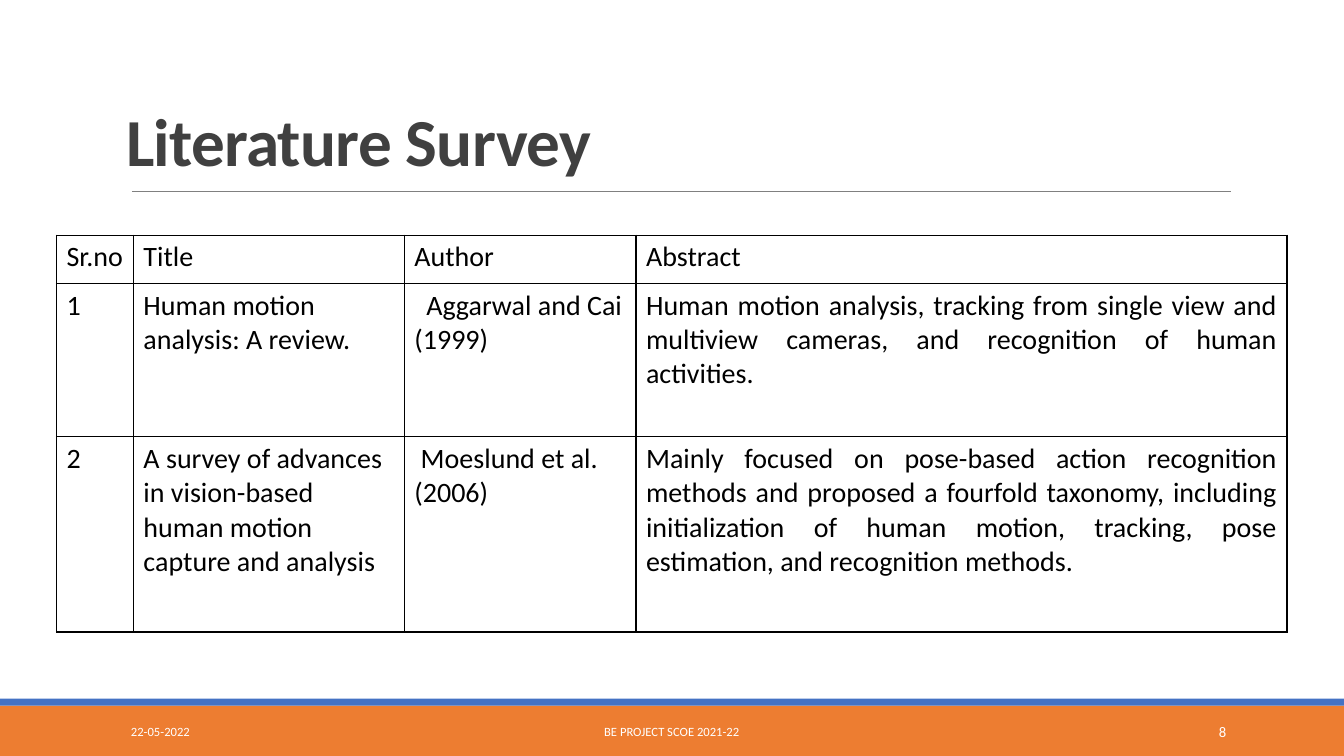
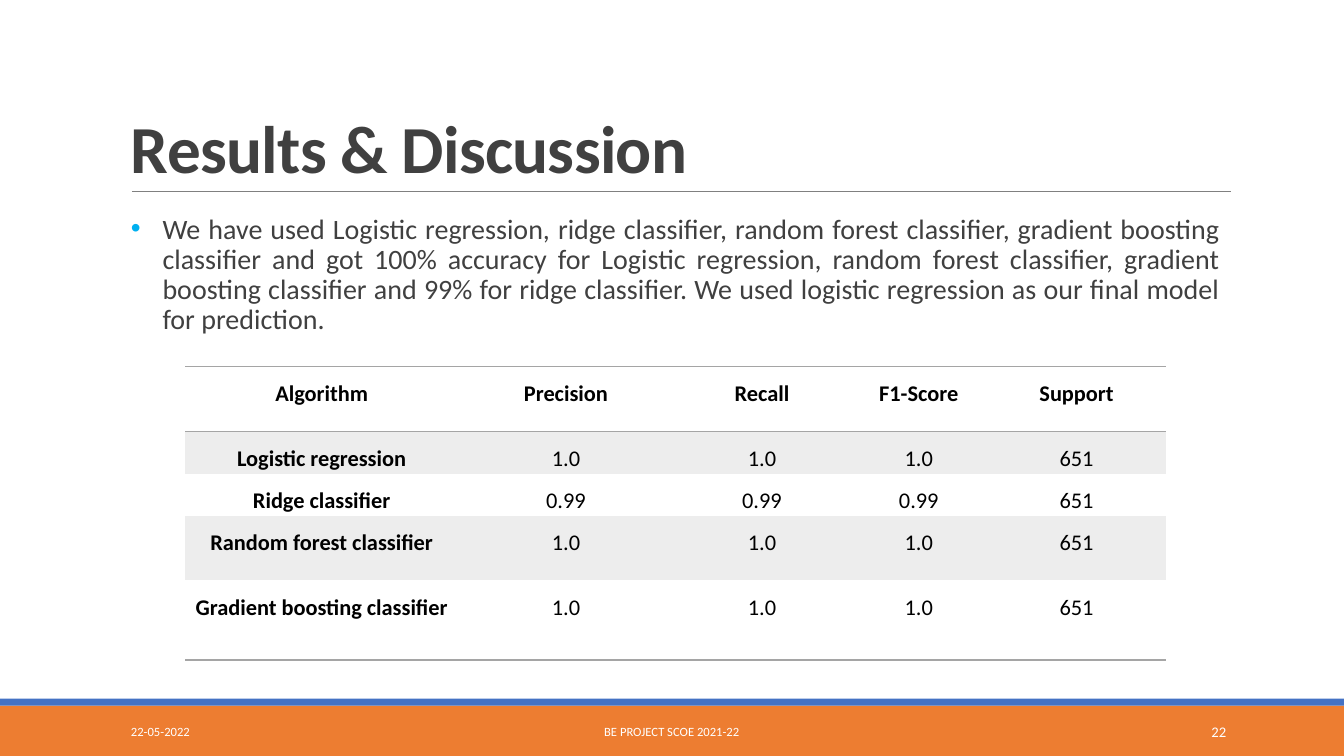
from lxml.etree import SubElement
from pptx import Presentation
from pptx.dml.color import RGBColor
from pptx.enum.shapes import MSO_CONNECTOR, MSO_SHAPE
from pptx.enum.text import MSO_ANCHOR as Anchor, PP_ALIGN as Align
from pptx.oxml import parse_xml
from pptx.oxml.ns import nsdecls, qn
from pptx.util import Pt

FONT = "Calibri"
WHITE = RGBColor(0xFF, 0xFF, 0xFF)
BLACK = RGBColor(0x00, 0x00, 0x00)
INK = RGBColor(0x40, 0x40, 0x40)
ORANGE = RGBColor(0xED, 0x7D, 0x31)
BLUE = RGBColor(0x44, 0x72, 0xC4)
RULE_GREY = RGBColor(0x80, 0x80, 0x80)
BORDER_GREY = RGBColor(0xA5, 0xA5, 0xA5)
BAND_GREY = RGBColor(0xED, 0xED, 0xED)
BULLET_BLUE = RGBColor(0x00, 0xB0, 0xF0)

SLIDE_WIDTH, SLIDE_HEIGHT = 960, 540
BANDS = [(504, 36, ORANGE), (499, 5, BLUE)]
NO_STYLE = "{2D5ABB26-0587-4C30-8999-92F81FD0307C}"

SURVEY_HEADER = ("Sr.no", "Title", "Author", "Abstract")
SURVEY = [
    ("1", "Human motion analysis: A review.", "Aggarwal and Cai (1999)",
     "Human motion analysis, tracking from single view and multiview cameras, "
     "and recognition of human activities."),
    ("2", "A survey of advances in vision-based human motion capture and analysis",
     "Moeslund et al. (2006)",
     "Mainly focused on pose-based action recognition methods and proposed a "
     "fourfold taxonomy, including initialization of human motion, tracking, "
     "pose estimation, and recognition methods."),
]
AUTHOR_INDENTS = {1: 8.5, 2: 4.5}

FINDING = (
    "We have used Logistic regression, ridge classifier, random forest classifier, "
    "gradient boosting classifier and got 100% accuracy for Logistic regression, "
    "random forest classifier, gradient boosting classifier and 99% for ridge "
    "classifier. We used logistic regression as our final model for prediction."
)
SCORES = [
    ("Algorithm", "Precision", "Recall", "F1-Score", "Support"),
    ("Logistic regression", "1.0", "1.0", "1.0", "651"),
    ("Ridge classifier", "0.99", "0.99", "0.99", "651"),
    ("Random forest classifier", "1.0", "1.0", "1.0", "651"),
    ("Gradient boosting classifier", "1.0", "1.0", "1.0", "651"),
]


def points(*values):
    return [Pt(value) for value in values]


def style(para, size, color, bold=False, align=Align.LEFT):
    para.alignment = align
    for span in para.runs:
        font = span.font
        font.name, font.size, font.bold = FONT, Pt(size), bold
        font.color.rgb = color


def add_text(slide, frame, text, size, color, anchor=Anchor.TOP, **look):
    """Add a wrapped text box and return its paragraph."""
    box = slide.shapes.add_textbox(*points(*frame))
    box.text_frame.word_wrap = True
    box.text_frame.vertical_anchor = anchor
    para = box.text_frame.paragraphs[0]
    para.text = text
    style(para, size, color, **look)
    return para


def add_page(deck, title, title_left, title_top, number):
    """Add a slide with the shared bands, rule, title and footer."""
    slide = deck.slides.add_slide(deck.slide_layouts[6])
    for top, height, color in BANDS:
        band = slide.shapes.add_shape(
            MSO_SHAPE.RECTANGLE, *points(0, top, SLIDE_WIDTH, height))
        band.shadow.inherit = False
        band.fill.solid()
        band.fill.fore_color.rgb = color
        band.line.fill.background()

    rule = slide.shapes.add_connector(
        MSO_CONNECTOR.STRAIGHT, *points(94.3, 136.8, 879.1, 136.8))
    rule.line.color.rgb = RULE_GREY
    rule.line.width = Pt(0.5)
    SubElement(rule._element.spPr, qn("a:effectLst"))

    heading = add_text(slide, (title_left, title_top, 792, 114.5), title,
                       48, INK, Anchor.BOTTOM, bold=True)
    heading.line_spacing = 0.85
    heading.runs[0]._r.get_or_add_rPr().set("spc", "-50")

    footers = [
        ("22-05-2022", 86.5, 194.5, 9, Align.LEFT),
        ("BE PROJECT SCOE 2021-22", 290, 379.5, 9, Align.CENTER),
        (str(number), 780, 103, 10.5, Align.RIGHT),
    ]
    for text, left, width, size, align in footers:
        add_text(slide, (left, 508.5, width, 28.5), text, size, WHITE,
                 Anchor.MIDDLE, align=align)
    return slide


def add_grid(slide, left, top, widths, heights, rows):
    """Add an unstyled, unfilled table holding the given rows of text."""
    frame = slide.shapes.add_table(
        len(rows), len(widths), *points(left, top, sum(widths), sum(heights)))
    table = frame.table
    table.first_row = table.horz_banding = False
    table._tbl.tblPr.find(qn("a:tableStyleId")).text = NO_STYLE
    for column, width in zip(table.columns, widths):
        column.width = Pt(width)
    for row, height, texts in zip(table.rows, heights, rows):
        row.height = Pt(height)
        for cell, text in zip(row.cells, texts):
            cell.text_frame.text = text
            cell.fill.background()
    return table


def set_borders(cell, sides, color):
    """Draw 1 pt lines on the sides, given in the order L, R, T, B."""
    properties = cell._tc.get_or_add_tcPr()
    for position, side in enumerate(sides):
        properties.insert(position, parse_xml(
            f'<a:ln{side} {nsdecls("a")} w="{Pt(1)}"><a:solidFill>'
            f'<a:srgbClr val="{color}"/></a:solidFill></a:ln{side}>'))


def build_survey(deck):
    slide = add_page(deck, "Literature Survey", 83, 18, 8)
    table = add_grid(slide, 40.3, 168, (55, 193.5, 165.5, 465),
                     (34.5, 109.5, 139.5), [SURVEY_HEADER, *SURVEY])
    for row_index, row in enumerate(table.rows):
        for column_index, cell in enumerate(row.cells):
            is_abstract = row_index > 0 and column_index == 3
            style(cell.text_frame.paragraphs[0], 20, BLACK,
                  align=Align.JUSTIFY if is_abstract else Align.LEFT)
            set_borders(cell, "LRTB", BLACK)
    for row_index, indent in AUTHOR_INDENTS.items():
        para = table.cell(row_index, 2).text_frame.paragraphs[0]
        para._p.get_or_add_pPr().set("indent", str(Pt(indent)))


def add_bullet(para, indent):
    properties = para._p.get_or_add_pPr()
    properties.set("marL", str(Pt(indent)))
    properties.set("indent", str(-Pt(indent)))
    color = SubElement(properties, qn("a:buClr"))
    SubElement(color, qn("a:srgbClr")).set("val", str(BULLET_BLUE))
    SubElement(properties, qn("a:buFont")).set("typeface", "Arial")
    SubElement(properties, qn("a:buChar")).set("char", "•")


def build_results(deck):
    slide = add_page(deck, "Results & Discussion", 86.5, 22.5, 22)
    finding = add_text(slide, (86.5, 150, 792, 100), FINDING, 20, INK,
                       align=Align.JUSTIFY)
    add_bullet(finding, 22.5)
    finding.line_spacing = 0.9

    table = add_grid(slide, 132.3, 262, (195, 154, 126, 98, 127.5),
                     (46, 30.3, 30.3, 46, 57), SCORES)
    last = len(SCORES) - 1
    for row_index, row in enumerate(table.rows):
        sides = {0: "TB", last: "B"}.get(row_index, "")
        for column_index, cell in enumerate(row.cells):
            cell.margin_left = cell.margin_right = Pt(5)
            cell.margin_top = cell.margin_bottom = Pt(0)
            para = cell.text_frame.paragraphs[0]
            para.line_spacing = 1.5
            style(para, 16, BLACK, align=Align.CENTER,
                  bold=row_index == 0 or column_index == 0)
            if row_index % 2:
                cell.fill.solid()
                cell.fill.fore_color.rgb = BAND_GREY
            set_borders(cell, sides, BORDER_GREY)


def main():
    deck = Presentation()
    deck.slide_width, deck.slide_height = points(SLIDE_WIDTH, SLIDE_HEIGHT)
    build_survey(deck)
    build_results(deck)
    deck.save("out.pptx")


if __name__ == "__main__":
    main()
